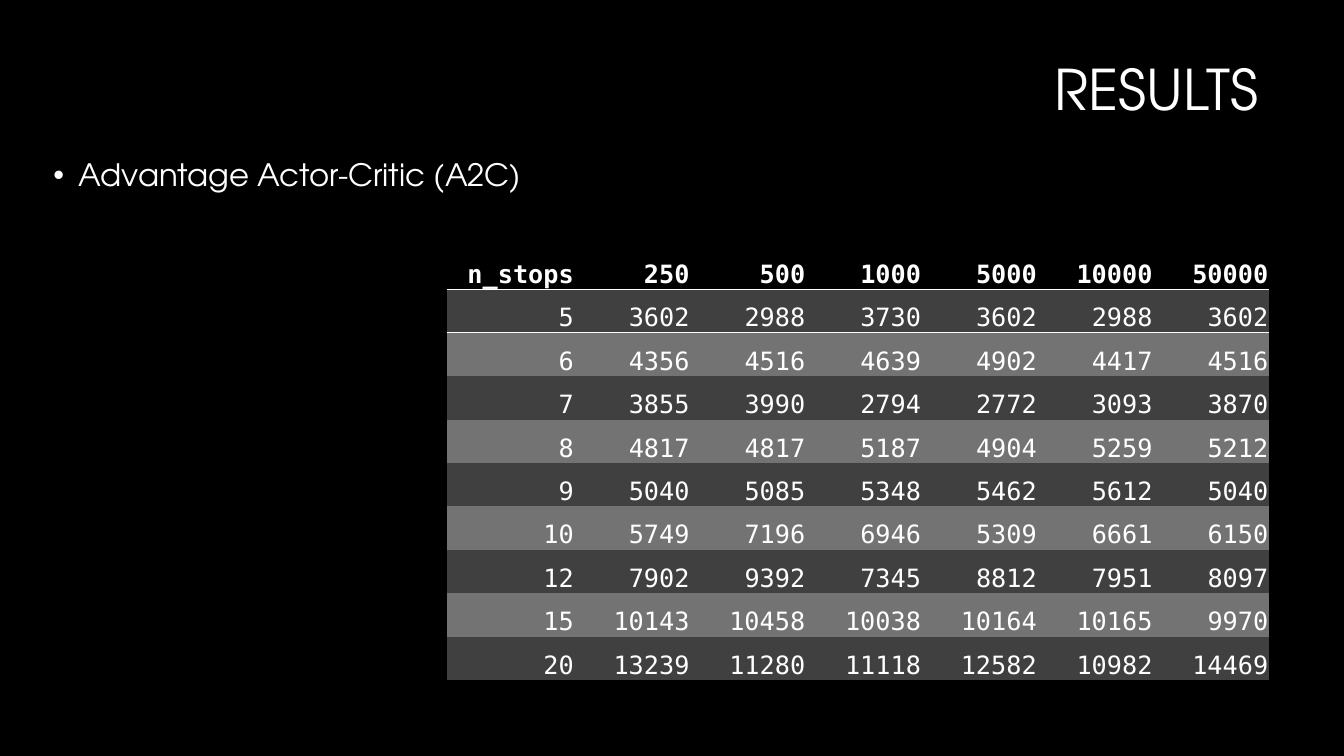
from lxml.etree import SubElement
from pptx import Presentation
from pptx.dml.color import RGBColor
from pptx.enum.text import MSO_ANCHOR as Anchor, MSO_AUTO_SIZE as Fit, PP_ALIGN as Align
from pptx.oxml import parse_xml
from pptx.oxml.ns import nsdecls, qn
from pptx.util import Inches, Pt

SANS, MONO = "TeX Gyre Adventor", "DejaVu Sans Mono"
WHITE, BLACK = "FFFFFF", "000000"
BANDS = ["404040", "737373"]
NO_STYLE = "{2D5ABB26-0587-4C30-8999-92F81FD0307C}"

SCORES = [
    ["n_stops", 250, 500, 1000, 5000, 10000, 50000],
    [5, 3602, 2988, 3730, 3602, 2988, 3602],
    [6, 4356, 4516, 4639, 4902, 4417, 4516],
    [7, 3855, 3990, 2794, 2772, 3093, 3870],
    [8, 4817, 4817, 5187, 4904, 5259, 5212],
    [9, 5040, 5085, 5348, 5462, 5612, 5040],
    [10, 5749, 7196, 6946, 5309, 6661, 6150],
    [12, 7902, 9392, 7345, 8812, 7951, 8097],
    [15, 10143, 10458, 10038, 10164, 10165, 9970],
    [20, 13239, 11280, 11118, 12582, 10982, 14469],
]


def paint(fill, color):
    fill.solid()
    fill.fore_color.rgb = RGBColor.from_string(color)


def style(para, face, size, bold=False):
    font = para.font
    font.name, font.size, font.bold = face, Pt(size), bold
    paint(font.fill, WHITE)


def place(holder, box, text, size, anchor):
    """Move a placeholder into the box and fill in its one paragraph."""
    holder.left, holder.top, holder.width, holder.height = map(Inches, box)
    frame = holder.text_frame
    frame.text = text
    frame.word_wrap = True
    frame.auto_size = Fit.NONE
    frame.vertical_anchor = anchor
    para = frame.paragraphs[0]
    para.line_spacing = 0.9
    style(para, SANS, size)
    return para


def add_title(slide, box, text):
    para = place(slide.shapes.title, box, text, 40, Anchor.MIDDLE)
    para.alignment = Align.RIGHT


def add_list(slide, box, text):
    para = place(slide.placeholders[1], box, text, 22, Anchor.TOP)
    para.alignment = Align.LEFT
    para.space_before = Pt(10)
    # Hanging bullet
    props = para._p.get_or_add_pPr()
    props.set("marL", str(Inches(0.25)))
    props.set("indent", str(-Inches(0.25)))
    SubElement(props, qn("a:buFont")).set("typeface", "Arial")
    SubElement(props, qn("a:buChar")).set("char", "•")


def add_rule(cell, side):
    """Draw a thin white border on one side of a cell."""
    line = parse_xml(
        f'<a:{side} {nsdecls("a")} w="{Pt(1)}"><a:solidFill>'
        f'<a:srgbClr val="{WHITE}"/></a:solidFill></a:{side}>'
    )
    cell._tc.get_or_add_tcPr().insert(0, line)


def fill_cell(cell, value, row):
    cell.text = str(value)
    cell.vertical_anchor = Anchor.BOTTOM
    cell.margin_left = cell.margin_right = cell.margin_top = Inches(0.01)
    cell.margin_bottom = 0
    para = cell.text_frame.paragraphs[0]
    para.alignment = Align.RIGHT
    style(para, MONO, 18, bold=row == 0)
    paint(cell.fill, BANDS[(row - 1) % 2] if row else BLACK)
    # The header rule is shared by the first two rows
    if row < 2:
        add_rule(cell, "lnT" if row else "lnB")


def add_scores(slide, box, data):
    left, top, width, height = box
    rows, cols = len(data), len(data[0])
    table = slide.shapes.add_table(rows, cols, *map(Inches, box)).table
    table._tbl.tblPr.find(qn("a:tableStyleId")).text = NO_STYLE
    # A wider first column, the rest equal
    first = 1.27
    for num, col in enumerate(table.columns):
        col.width = Inches((width - first) / (cols - 1) if num else first)
    for num, row in enumerate(table.rows):
        row.height = Inches(height / rows)
        for cell, value in zip(row.cells, data[num]):
            fill_cell(cell, value, num)


def main():
    deck = Presentation()
    deck.slide_width, deck.slide_height = Inches(13.33), Inches(7.5)
    slide = deck.slides.add_slide(deck.slide_layouts[1])
    paint(slide.background.fill, BLACK)
    add_title(slide, (5.04, 0.21, 7.54, 1.41), "RESULTS")
    add_list(slide, (0.43, 1.54, 12.54, 6.08), "Advantage Actor-Critic (A2C)")
    add_scores(slide, (4.43, 2.44, 8.16, 4.31), SCORES)
    deck.save("out.pptx")


if __name__ == "__main__":
    main()
